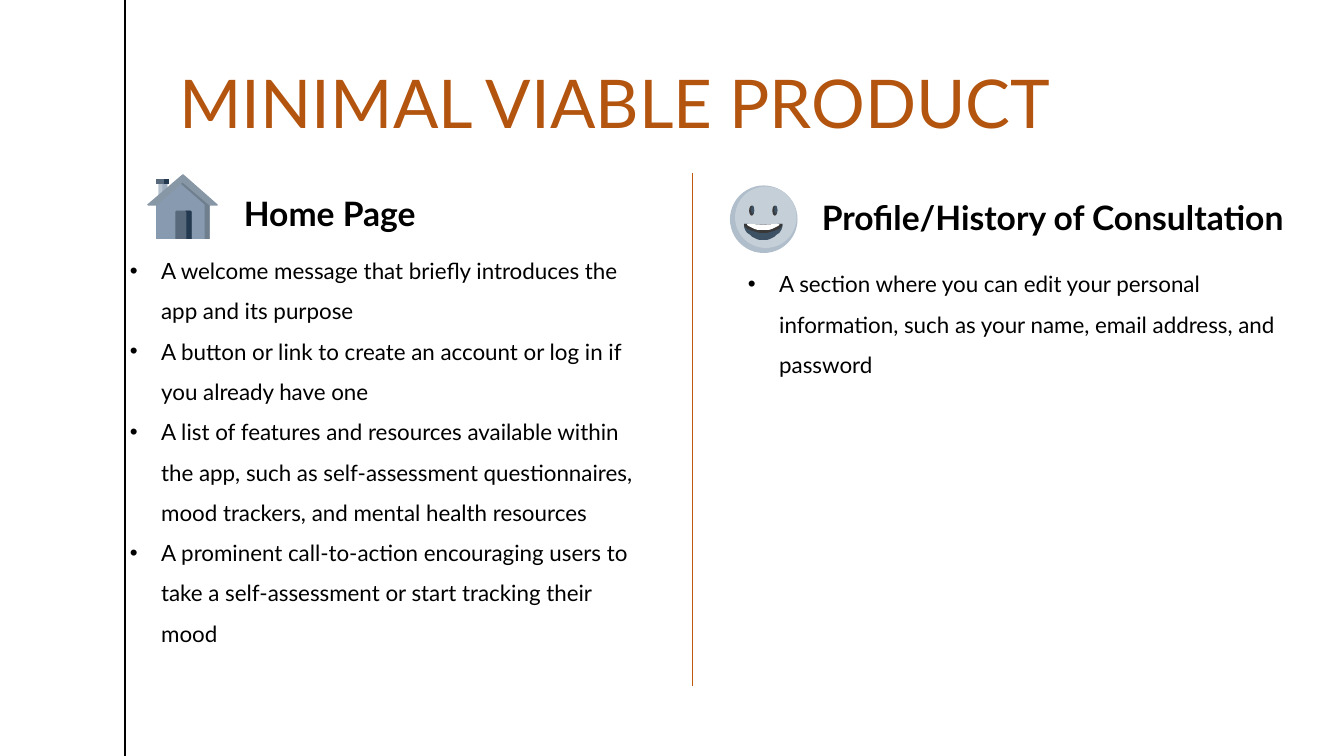
from math import cos, pi, sin

from lxml import etree
from pptx import Presentation
from pptx.dml.color import RGBColor
from pptx.enum.shapes import MSO_CONNECTOR as Connector, MSO_SHAPE as Shape
from pptx.enum.text import MSO_ANCHOR as Anchor, PP_ALIGN as Align
from pptx.oxml.ns import qn
from pptx.util import Pt

PX = 9144
SLIDE = (1333, 750)
FONT = "Lato"
INDENT = 31

TITLE = ("MINIMAL VIABLE PRODUCT", (178, 37, 1108, 110))
HEADINGS = [
    ("Home Page", (228, 192, 198, 39)),
    ("Profile/History of Consultation", (773, 186, 542, 58)),
]
BULLET_LISTS = [
    ((119, 237, 531, 495), [
        "A welcome message that briefly introduces the app and its purpose",
        "A button or link to create an account or log in if you already have one",
        "A list of features and resources available within the app, such as "
        "self-assessment questionnaires, mood trackers, and mental health resources",
        "A prominent call-to-action encouraging users to take a self-assessment "
        "or start tracking their mood",
    ]),
    ((732, 250, 578, 131), [
        "A section where you can edit your personal information, such as your "
        "name, email address, and password",
    ]),
]
RULES = [
    ((124, 0, 124, 750), "000000", 1),
    ((687, 172, 687, 681), "BE5910", 0.5),
]
HOUSE = [
    ("B7C2CF", [(157, 182), (157, 194), (166, 187), (166, 182)]),
    ("9FAEBF", [(161, 182), (161, 191), (166, 187), (166, 182)]),
    ("879AAF", [(181, 180), (155, 203), (155, 237), (208, 237), (208, 203)]),
    ("707F8D", [(181, 180), (179, 182), (203, 203), (203, 237), (208, 237), (208, 203)]),
    ("57697A", [(155, 178), (155, 183), (168, 183), (168, 178)]),
    ("57697A", [(174, 210), (174, 237), (190, 237), (190, 210), (189, 209), (175, 209)]),
    ("22394F", [(184, 209), (185, 211), (185, 237), (190, 237), (190, 210), (189, 209)]),
    ("8797A6", [(181, 173), (146, 203), (147, 204), (155, 204), (181, 181),
                (208, 204), (216, 204), (216, 203), (182, 173)]),
    ("22394F", [(163, 178), (163, 183), (168, 183), (168, 178)]),
]
FACE_OVALS = [
    ("B0BDCB", (724, 184, 67, 67)),
    ("C5CFD8", (729, 185, 61, 61)),
]
EYE_LEFTS = [743, 766]
EYE_TOP = 204
SMILE_CENTRE = (757, 222)
SMILE_LAYERS = [("3C5164", 19, 16), ("383838", 19, 9), ("FFFFFF", 16, 6)]


def rgb(colour):
    return RGBColor.from_string(colour)


def emu(lengths):
    return [length * PX for length in lengths]


def paint(shape, colour):
    shape.fill.solid()
    shape.fill.fore_color.rgb = rgb(colour)
    shape.line.fill.background()
    shape.shadow.inherit = False


def add_polygon(shapes, colour, points):
    builder = shapes.build_freeform(*points[0], scale=PX)
    builder.add_line_segments(points[1:], close=True)
    paint(builder.convert_to_shape(), colour)


def add_oval(shapes, colour, bounds):
    paint(shapes.add_shape(Shape.OVAL, *emu(bounds)), colour)


def add_smile(shapes, colour, half_width, depth):
    x, y = SMILE_CENTRE
    steps = 16
    curve = [(round(x + half_width * cos(pi * i / steps)),
              round(y + depth * sin(pi * i / steps))) for i in range(steps + 1)]
    add_polygon(shapes, colour, curve + [(x, y + 1)])


def add_text(page, bounds, lines, size, colour="000000", bold=False,
             align=Align.LEFT, anchor=Anchor.TOP, spacing=1.0):
    box = page.shapes.add_textbox(*emu(bounds))
    frame = box.text_frame
    frame.word_wrap = True
    frame.vertical_anchor = anchor
    frame.text = "\n".join(lines)
    for para in frame.paragraphs:
        para.alignment = align
        para.line_spacing = spacing
        for span in para.runs:
            span.font.name = FONT
            span.font.size = Pt(size)
            span.font.bold = bold
            span.font.color.rgb = rgb(colour)
    return frame


def add_bullets(frame):
    for para in frame.paragraphs:
        props = para._p.get_or_add_pPr()
        props.set("marL", str(INDENT * PX))
        props.set("indent", str(-INDENT * PX))
        colour = etree.SubElement(props, qn("a:buClr"))
        etree.SubElement(colour, qn("a:srgbClr"), val="000000")
        etree.SubElement(props, qn("a:buFont"), typeface="Arial")
        etree.SubElement(props, qn("a:buChar"), char="•")


def add_rule(page, ends, colour, width):
    rule = page.shapes.add_connector(Connector.STRAIGHT, *emu(ends))
    rule.line.color.rgb = rgb(colour)
    rule.line.width = Pt(width)
    etree.SubElement(rule._element.spPr, qn("a:effectLst"))


def add_house(page):
    house = page.shapes.add_group_shape().shapes
    for colour, points in HOUSE:
        add_polygon(house, colour, points)


def add_face(page):
    face = page.shapes.add_group_shape().shapes
    for colour, bounds in FACE_OVALS:
        add_oval(face, colour, bounds)
    for colour, half_width, depth in SMILE_LAYERS:
        add_smile(face, colour, half_width, depth)
    for left in EYE_LEFTS:
        add_oval(face, "383838", (left, EYE_TOP, 5, 10))
        add_oval(face, "3C5164", (left + 2, EYE_TOP, 3, 8))


def main():
    deck = Presentation()
    deck.slide_width, deck.slide_height = emu(SLIDE)
    page = deck.slides.add_slide(deck.slide_layouts[6])
    for ends, colour, width in RULES:
        add_rule(page, ends, colour, width)
    title, bounds = TITLE
    frame = add_text(page, bounds, [title], 48, "B3540F", anchor=Anchor.BOTTOM, spacing=0.9)
    frame.margin_left = frame.margin_right = 0
    add_house(page)
    add_face(page)
    for heading, bounds in HEADINGS:
        add_text(page, bounds, [heading], 24, bold=True,
                 align=Align.CENTER, anchor=Anchor.MIDDLE)
    for bounds, lines in BULLET_LISTS:
        add_bullets(add_text(page, bounds, lines, 16, spacing=1.5))
    deck.save("out.pptx")


if __name__ == "__main__":
    main()
